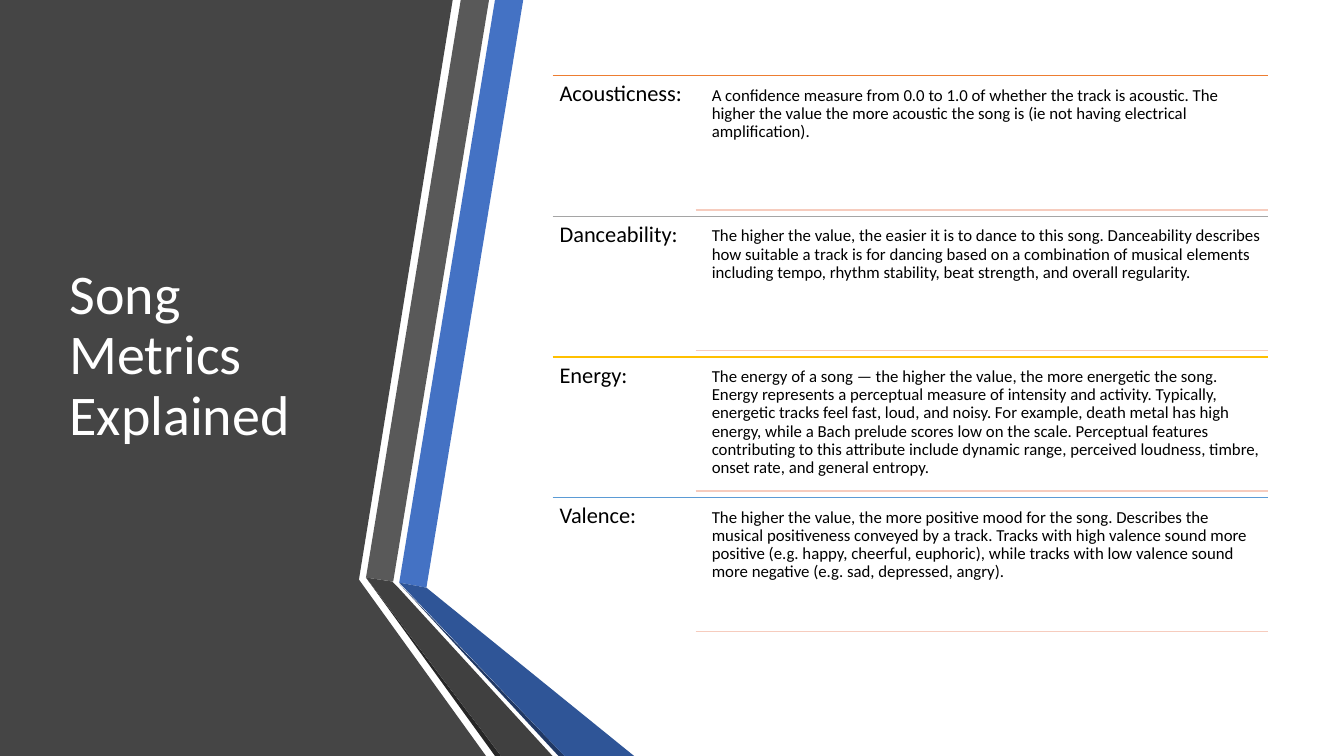
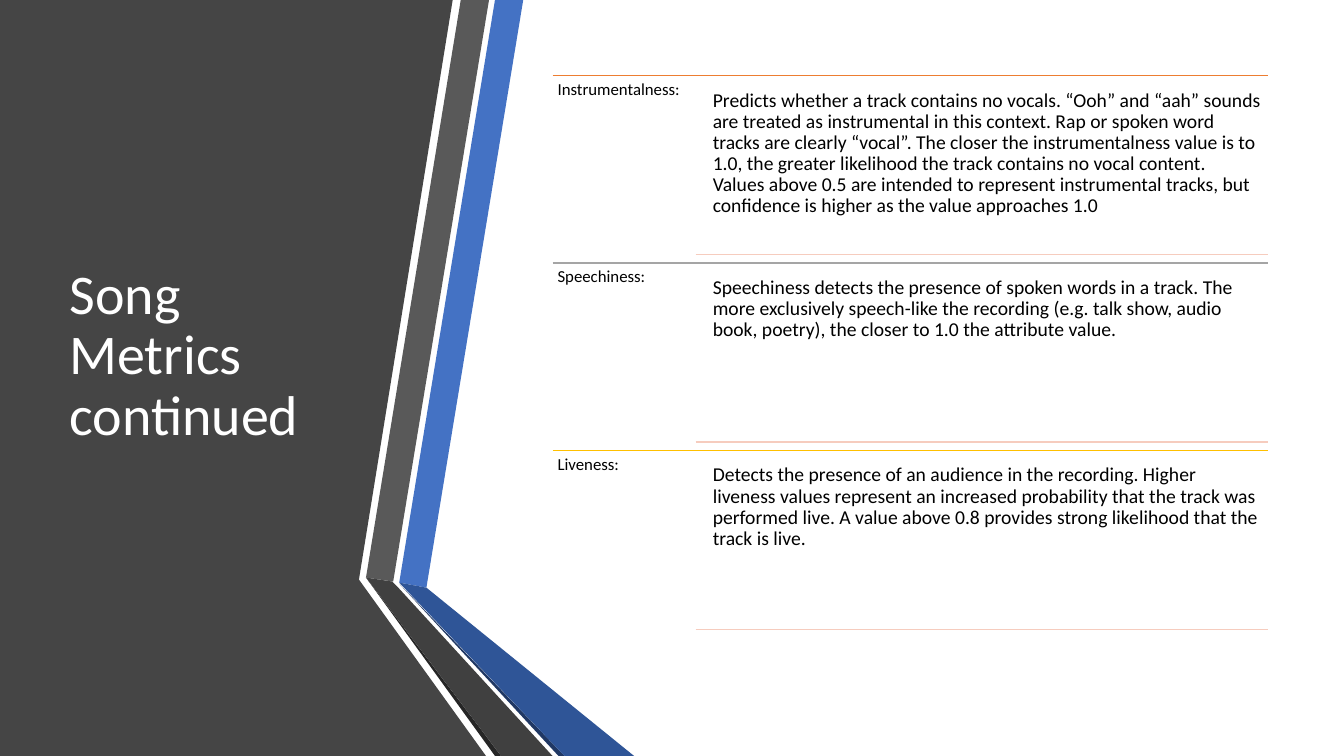
import pptx
import pptx.dml.color
import pptx.enum.shapes
import pptx.enum.text
import pptx.oxml.ns
import pptx.util
from lxml import etree
from pptx.util import Inches

# Shared style
FONT = "Calibri"
WHITE, BLACK = "FFFFFF", "000000"
RULE_COLORS = ["ED7D31", "A5A5A5", "FFC000", "5B9BD5"]
DETAIL_RULE = "F6CCBE"

# Shared frame, in inches
SLIDE_WIDTH, SLIDE_HEIGHT = 13.33, 7.5
TOP, HEIGHT = 0.75, 5.58
TITLE_LEFT, TITLE_WIDTH = 0.59, 3.04
TERM_LEFT, TERM_WIDTH = 5.48, 1.42
DETAIL_LEFT, DETAIL_WIDTH = 7.01, 5.57
RULE_RIGHT = DETAIL_LEFT + DETAIL_WIDTH

# Dark panel and folded ribbons: fill and corner points, back to front
BACKDROP = [
    ("454545", [(0, 0), (4.49, 0), (3.56, 5.75), (4.82, 7.5), (0, 7.5)]),
    ("4472C4", [(3.96, 5.78), (4.23, 5.83), (5.19, 0), (4.91, 0)]),
    ("595959", [(4.85, 0), (4.57, 0), (3.63, 5.73), (3.9, 5.77)]),
    ("262626", [(3.63, 5.73), (4.91, 7.5), (4.97, 7.5)]),
    ("203864", [(3.96, 5.79), (5.54, 7.5), (5.6, 7.5)]),
    ("2F5597", [(3.96, 5.78), (5.6, 7.5), (6.29, 7.5), (4.23, 5.83)]),
    ("404040", [(3.63, 5.73), (4.97, 7.5), (5.48, 7.5), (3.95, 5.83),
                (3.89, 5.77)]),
]

METRICS = [
    ("Acousticness:",
     "A confidence measure from 0.0 to 1.0 of whether the track is acoustic. "
     "The higher the value the more acoustic the song is (ie not having "
     "electrical amplification)."),
    ("Danceability:",
     "The higher the value, the easier it is to dance to this song. "
     "Danceability describes how suitable a track is for dancing based on a "
     "combination of musical elements including tempo, rhythm stability, beat "
     "strength, and overall regularity."),
    ("Energy:",
     "The energy of a song — the higher the value, the more energetic the "
     "song. Energy represents a perceptual measure of intensity and activity. "
     "Typically, energetic tracks feel fast, loud, and noisy. For example, "
     "death metal has high energy, while a Bach prelude scores low on the "
     "scale. Perceptual features contributing to this attribute include "
     "dynamic range, perceived loudness, timbre, onset rate, and general "
     "entropy."),
    ("Valence:",
     "The higher the value, the more positive mood for the song. Describes "
     "the musical positiveness conveyed by a track. Tracks with high valence "
     "sound more positive (e.g. happy, cheerful, euphoric), while tracks with "
     "low valence sound more negative (e.g. sad, depressed, angry)."),
]

MORE_METRICS = [
    ("Instrumentalness:",
     "Predicts whether a track contains no vocals. “Ooh” and “aah” sounds are "
     "treated as instrumental in this context. Rap or spoken word tracks are "
     "clearly “vocal”. The closer the instrumentalness value is to 1.0, the "
     "greater likelihood the track contains no vocal content. Values above "
     "0.5 are intended to represent instrumental tracks, but confidence is "
     "higher as the value approaches 1.0"),
    ("Speechiness:",
     "Speechiness detects the presence of spoken words in a track. The more "
     "exclusively speech-like the recording (e.g. talk show, audio book, "
     "poetry), the closer to 1.0 the attribute value."),
    ("Liveness:",
     "Detects the presence of an audience in the recording. Higher liveness "
     "values represent an increased probability that the track was performed "
     "live. A value above 0.8 provides strong likelihood that the track is "
     "live."),
]


def color(hex_value):
    return pptx.dml.color.RGBColor.from_string(hex_value)


def write_text(frame, text, size, hex_value, anchor):
    frame.word_wrap = True
    frame.auto_size = pptx.enum.text.MSO_AUTO_SIZE.NONE
    frame.vertical_anchor = anchor
    paragraph = frame.paragraphs[0]
    paragraph.alignment = pptx.enum.text.PP_ALIGN.LEFT
    paragraph.line_spacing = 0.9
    run = paragraph.add_run()
    run.text = text
    run.font.name = FONT
    run.font.size = pptx.util.Pt(size)
    run.font.color.rgb = color(hex_value)


def add_polygon(slide, fill, points):
    start, *rest = [(Inches(x), Inches(y)) for x, y in points]
    builder = slide.shapes.build_freeform(*start)
    builder.add_line_segments(rest, close=True)
    shape = builder.convert_to_shape()
    shape.shadow.inherit = False
    shape.fill.solid()
    shape.fill.fore_color.rgb = color(fill)
    shape.line.fill.background()


def add_rule(slide, left, y, hex_value):
    rule = slide.shapes.add_connector(
        pptx.enum.shapes.MSO_CONNECTOR.STRAIGHT,
        Inches(left), Inches(y), Inches(RULE_RIGHT), Inches(y))
    rule.line.color.rgb = color(hex_value)
    rule.line.width = pptx.util.Pt(1)
    properties = rule.element.find(pptx.oxml.ns.qn("p:spPr"))
    etree.SubElement(properties, pptx.oxml.ns.qn("a:effectLst"))


def add_text(slide, left, top, width, height, text, size, inset):
    box = slide.shapes.add_textbox(
        Inches(left), Inches(top), Inches(width), Inches(height))
    frame = box.text_frame
    frame.margin_left = frame.margin_right = Inches(inset)
    frame.margin_top = frame.margin_bottom = Inches(inset)
    write_text(frame, text, size, BLACK, pptx.enum.text.MSO_ANCHOR.TOP)


def set_title(slide, text):
    title = slide.shapes.title
    title.left, title.top = Inches(TITLE_LEFT), Inches(TOP)
    title.width, title.height = Inches(TITLE_WIDTH), Inches(HEIGHT)
    write_text(title.text_frame, text, 40, WHITE,
               pptx.enum.text.MSO_ANCHOR.MIDDLE)
    # Bring the title in front of the dark panel
    title.element.getparent().append(title.element)


def add_metric_list(slide, metrics, term_style, detail_style):
    """Stack the metrics in equal rows; a style is (text size, inset)."""
    row_height = HEIGHT / len(metrics)
    detail_height = 0.91 * row_height
    for index, (term, detail) in enumerate(metrics):
        top = TOP + index * row_height
        detail_top = top + 0.045 * row_height
        add_rule(slide, TERM_LEFT, top, RULE_COLORS[index])
        add_text(slide, TERM_LEFT, top, TERM_WIDTH, row_height,
                 term, *term_style)
        add_text(slide, DETAIL_LEFT, detail_top, DETAIL_WIDTH, detail_height,
                 detail, *detail_style)
        add_rule(slide, TERM_LEFT + TERM_WIDTH, detail_top + detail_height,
                 DETAIL_RULE)


def add_metric_slide(presentation, title, metrics, term_style, detail_style):
    title_only = presentation.slide_layouts[5]
    slide = presentation.slides.add_slide(title_only)
    for fill, points in BACKDROP:
        add_polygon(slide, fill, points)
    set_title(slide, title)
    add_metric_list(slide, metrics, term_style, detail_style)


def main():
    presentation = pptx.Presentation()
    presentation.slide_width = Inches(SLIDE_WIDTH)
    presentation.slide_height = Inches(SLIDE_HEIGHT)
    add_metric_slide(presentation, "Song Metrics Explained", METRICS,
                     term_style=(16, 0.07), detail_style=(12, 0.05))
    add_metric_slide(presentation, "Song Metrics continued", MORE_METRICS,
                     term_style=(12, 0.05), detail_style=(14, 0.06))
    presentation.save("out.pptx")


if __name__ == "__main__":
    main()
